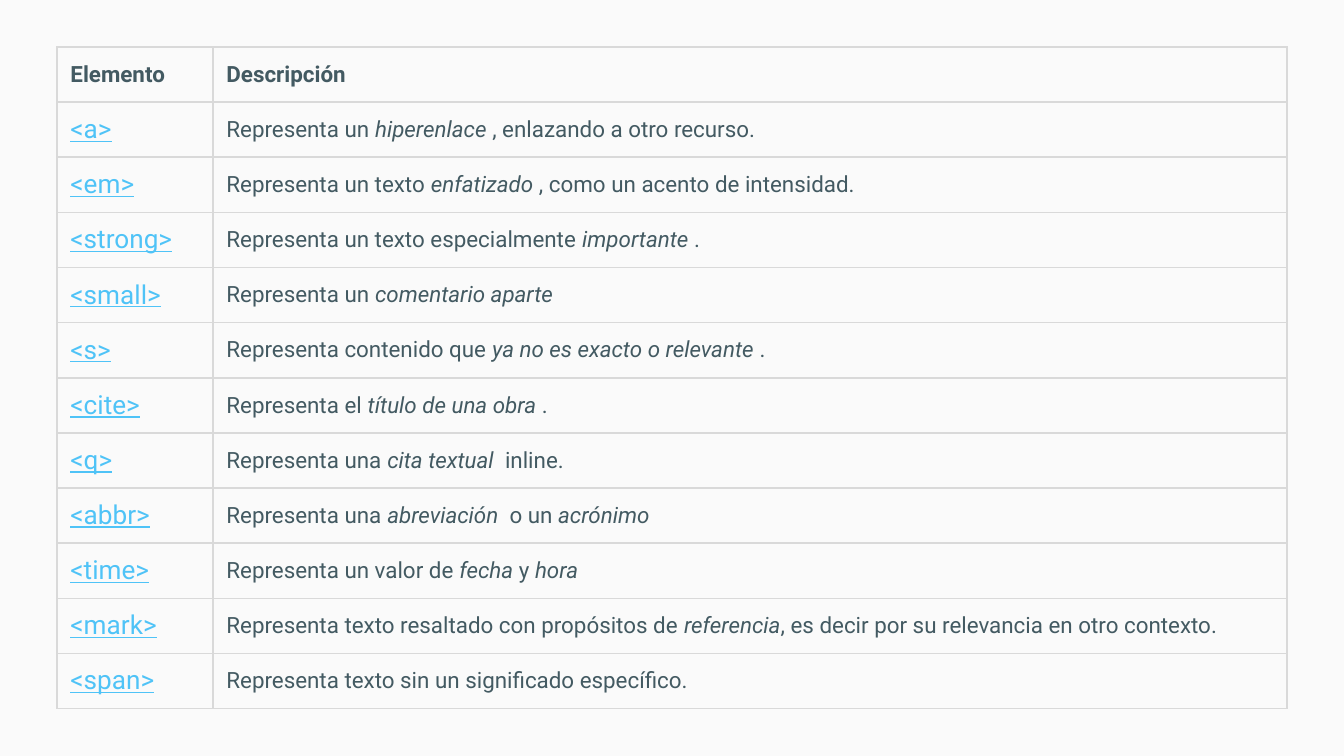
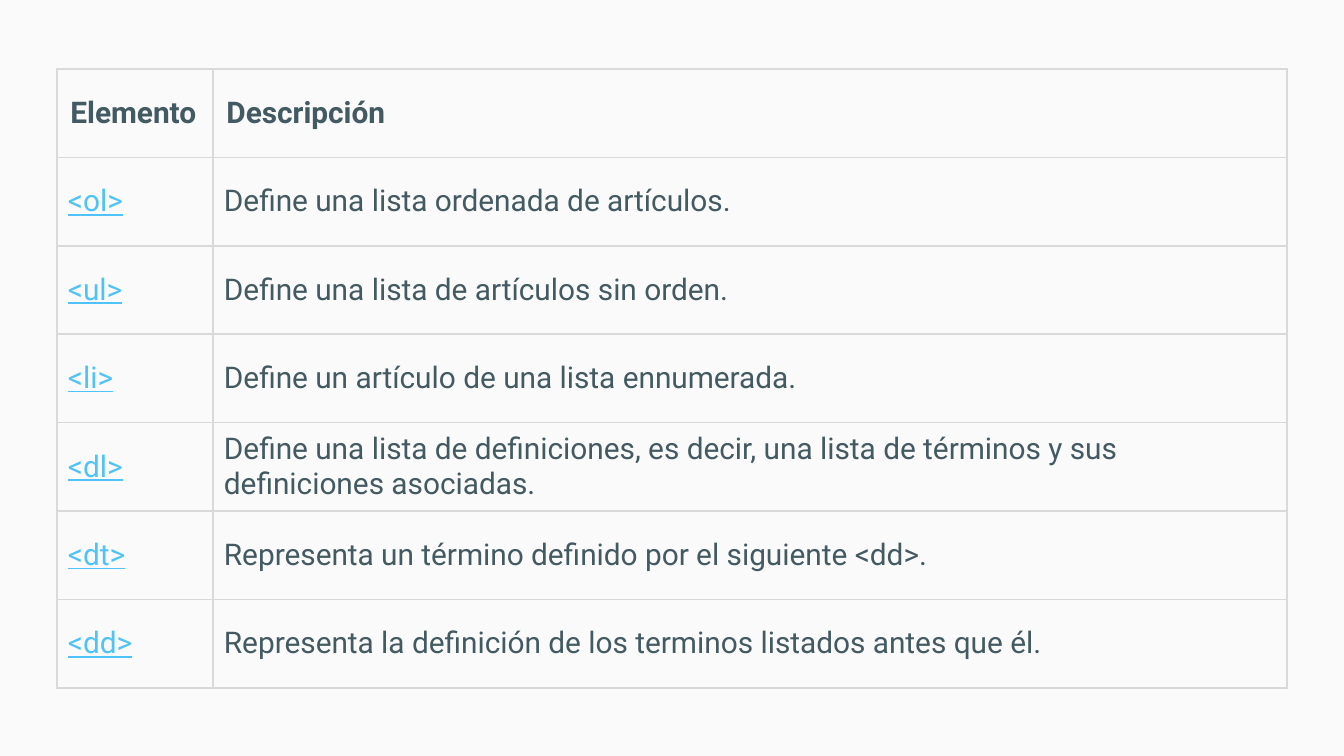
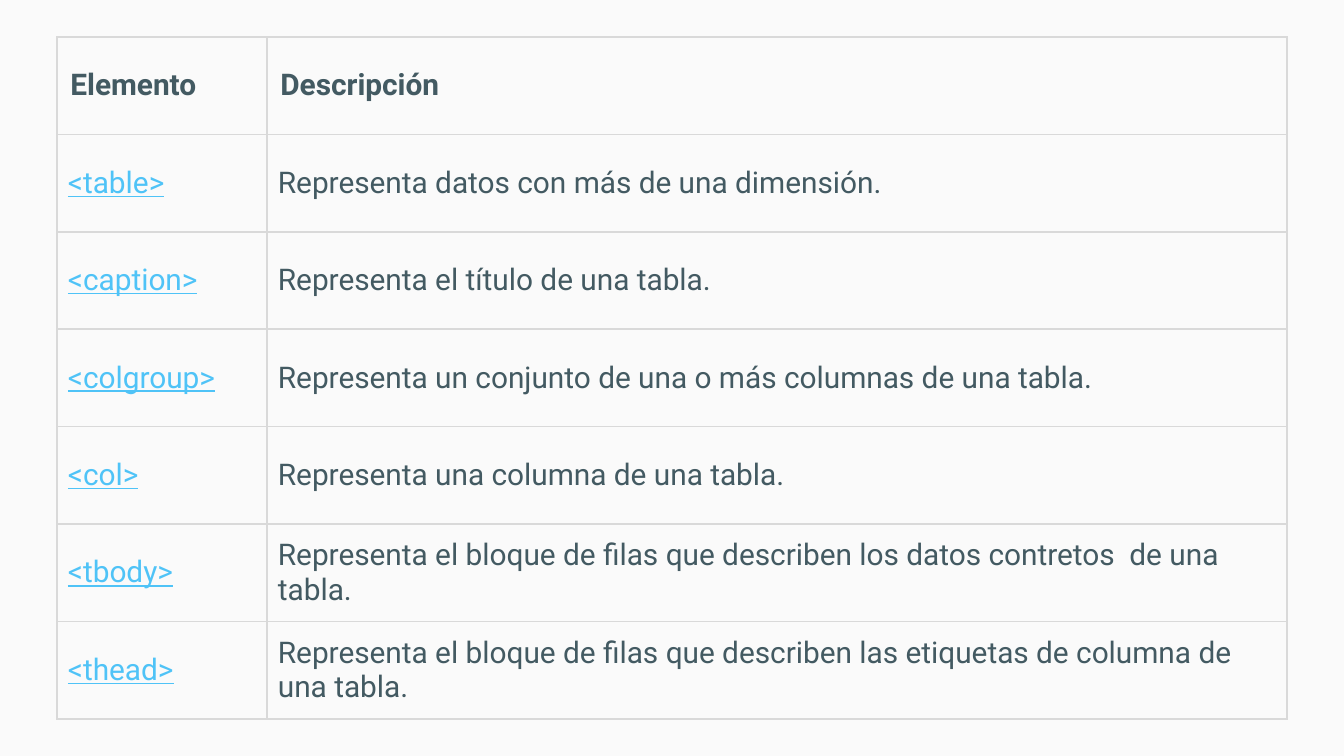
import pptx
import pptx.dml.color
import pptx.enum.text
import pptx.oxml.ns
import pptx.util
from lxml import etree

RGB = pptx.dml.color.RGBColor
PAPER = RGB(0xFA, 0xFA, 0xFA)
INK = RGB(0x43, 0x5A, 0x62)
SKY = RGB(0x4F, 0xC3, 0xF7)
RULE = RGB(0xD9, 0xD9, 0xD9)
FONT = "Roboto"
HEADS = ("Elemento", "Descripción")

# Asterisks enclose italic words
INLINE = [
    ("<a>", "Representa un *hiperenlace* , enlazando a otro recurso."),
    ("<em>", "Representa un texto *enfatizado* , como un acento de intensidad."),
    ("<strong>", "Representa un texto especialmente *importante* ."),
    ("<small>", "Representa un *comentario aparte*"),
    ("<s>", "Representa contenido que *ya no es exacto o relevante* ."),
    ("<cite>", "Representa el *título de una obra* ."),
    ("<q>", "Representa una *cita textual*  inline."),
    ("<abbr>", "Representa una *abreviación * o un *acrónimo*"),
    ("<time>", "Representa un valor de *fecha *y *hora*"),
    ("<mark>", "Representa texto resaltado con propósitos de *referencia*, "
               "es decir por su relevancia en otro contexto."),
    ("<span>", "Representa texto sin un significado específico."),
]
LISTS = [
    ("<ol>", "Define una lista ordenada de artículos."),
    ("<ul>", "Define una lista de artículos sin orden."),
    ("<li>", "Define un artículo de una lista ennumerada."),
    ("<dl>", "Define una lista de definiciones, es decir, una lista de "
             "términos y sus definiciones asociadas."),
    ("<dt>", "Representa un término definido por el siguiente <dd>."),
    ("<dd>", "Representa la definición de los terminos listados antes que él."),
]
TABLES = [
    ("<table>", "Representa datos con más de una dimensión."),
    ("<caption>", "Representa el título de una tabla."),
    ("<colgroup>", "Representa un conjunto de una o más columnas de una tabla."),
    ("<col>", "Representa una columna de una tabla."),
    ("<tbody>", "Representa el bloque de filas que describen los datos "
                "contretos  de una tabla."),
    ("<thead>", "Representa el bloque de filas que describen las etiquetas "
                "de columna de una tabla."),
]

# Lengths in px; sizes in points for the text and for the tags
PAGES = [
    dict(rows=INLINE, top=47, high=662, tag=156, size=12, link=14, pad=None),
    dict(rows=LISTS, top=69, high=619, tag=156, size=16, link=16, pad=(11, 8)),
    dict(rows=TABLES, top=37, high=682, tag=210, size=16, link=16, pad=(11, 8)),
]
WIDE, TALL = 1344, 756
LEFT, SPAN = 57, 1230


def px(count):
    return pptx.util.Emu(round(count * 914400 / 134.4))


def frame(cell):
    """Fill the cell and rule its four sides."""
    cell.fill.solid()
    cell.fill.fore_color.rgb = PAPER
    props = cell._tc.get_or_add_tcPr()
    qn = pptx.oxml.ns.qn
    for spot, side in enumerate(("a:lnL", "a:lnR", "a:lnT", "a:lnB")):
        line = etree.Element(qn(side), w=str(pptx.util.Pt(1)))
        fill = etree.SubElement(line, qn("a:solidFill"))
        etree.SubElement(fill, qn("a:srgbClr"), val=str(RULE))
        props.insert(spot, line)


def write(cell, text, size, color=INK, bold=False, link=False):
    cell.vertical_anchor = pptx.enum.text.MSO_ANCHOR.MIDDLE
    para = cell.text_frame.paragraphs[0]
    for turn, part in enumerate(text.split("*")):
        if not part:
            continue
        run = para.add_run()
        run.text = part
        font = run.font
        font.name, font.size = FONT, pptx.util.Pt(size)
        font.color.rgb = color
        font.bold, font.underline = bold, link
        font.italic = turn % 2 == 1


def build(deck, page):
    slide = deck.slides.add_slide(deck.slide_layouts[6])
    slide.background.fill.solid()
    slide.background.fill.fore_color.rgb = PAPER

    # Table grid
    count = len(page["rows"]) + 1
    grid = slide.shapes.add_table(count, 2, px(LEFT), px(page["top"]),
                                  px(SPAN), px(page["high"])).table
    grid.first_row = grid.horz_banding = False
    grid.columns[0].width = px(page["tag"])
    grid.columns[1].width = px(SPAN - page["tag"])
    for row in grid.rows:
        row.height = px(page["high"] / count)
    for cell in grid.iter_cells():
        frame(cell)

    # Heading row
    for col, head in enumerate(HEADS):
        write(grid.cell(0, col), head, page["size"], bold=True)

    # Tags and what they mean
    for row, (tag, note) in enumerate(page["rows"], 1):
        left, right = grid.cell(row, 0), grid.cell(row, 1)
        write(left, tag, page["link"], SKY, link=True)
        write(right, note, page["size"])
        if page["pad"]:
            side, edge = map(px, page["pad"])
            for cell in (left, right):
                cell.margin_left = cell.margin_right = side
                cell.margin_top = cell.margin_bottom = edge


def main():
    deck = pptx.Presentation()
    deck.slide_width, deck.slide_height = px(WIDE), px(TALL)
    for page in PAGES:
        build(deck, page)
    deck.save("out.pptx")


if __name__ == "__main__":
    main()
